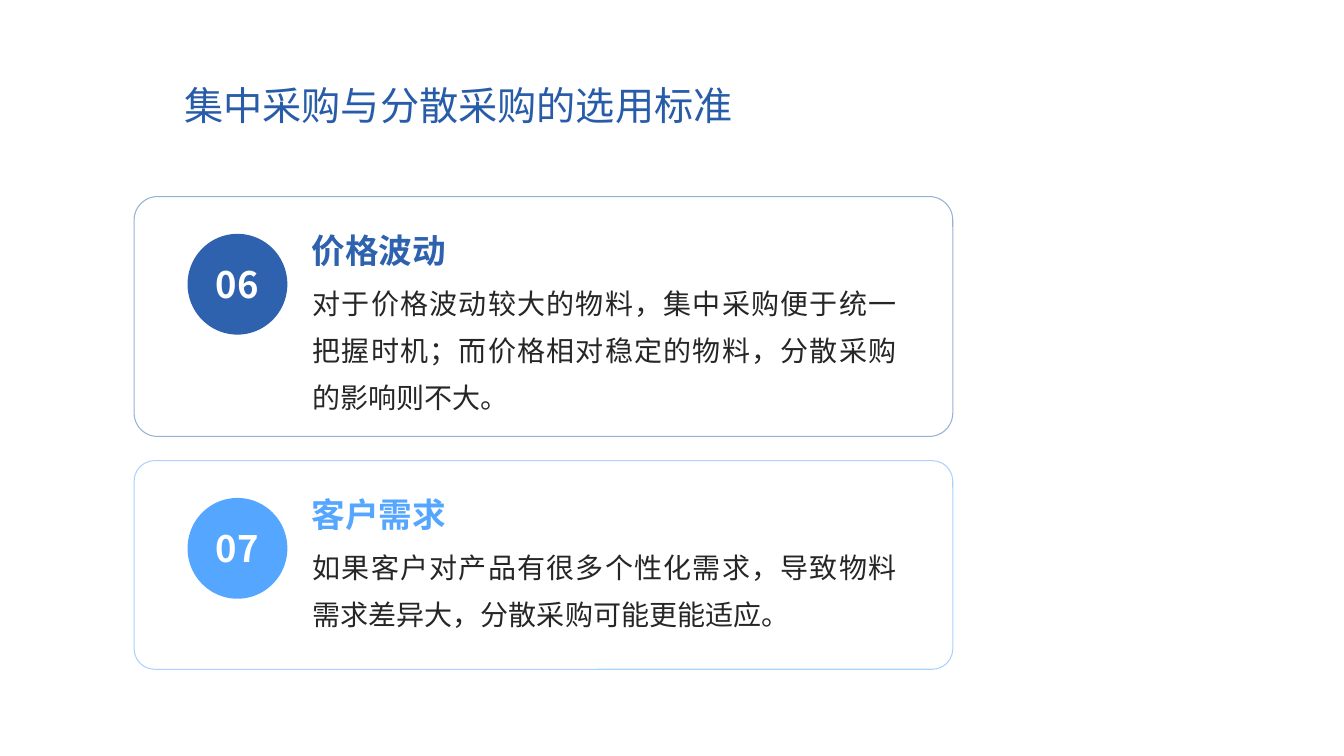
"""Build a slide on choosing between central and local purchasing."""
from lxml import etree
from pptx import Presentation
from pptx.dml.color import RGBColor
from pptx.enum.shapes import MSO_SHAPE
from pptx.enum.text import MSO_ANCHOR, PP_ALIGN
from pptx.oxml.ns import qn
from pptx.util import Inches, Pt

ROUND, OVAL = MSO_SHAPE.ROUNDED_RECTANGLE, MSO_SHAPE.OVAL
TOP, MIDDLE, BOTTOM = MSO_ANCHOR.TOP, MSO_ANCHOR.MIDDLE, MSO_ANCHOR.BOTTOM
LEFT, CENTER, JUSTIFY = PP_ALIGN.LEFT, PP_ALIGN.CENTER, PP_ALIGN.JUSTIFY
SANS, BODY = "Noto Sans CJK SC", "Noto Sans CJK JP"
COLORS = {"title": "285CA9", "navy": "2F62AE", "sky": "54A6FF",
          "text": "262626", "white": "FFFFFF"}

deck = Presentation()
deck.slide_width, deck.slide_height = Inches(13.33), Inches(7.5)
slide = deck.slides.add_slide(deck.slide_layouts[6])


def add_shape(kind, x, y, w, h, fill):
    shape = slide.shapes.add_shape(kind, Inches(x), Inches(y), Inches(w), Inches(h))
    shape.shadow.inherit = False
    shape.fill.solid()
    shape.fill.fore_color.rgb = RGBColor.from_string(COLORS[fill])
    shape.line.fill.background()
    return shape


def set_text(shape, text, size, font, color, bold=False, anchor=TOP, align=LEFT, inset=True):
    frame = shape.text_frame
    frame.text = text
    frame.word_wrap = True
    frame.vertical_anchor = anchor
    if not inset:
        frame.margin_left = frame.margin_right = 0
        frame.margin_top = frame.margin_bottom = 0
    para = frame.paragraphs[0]
    para.alignment = align
    run = para.runs[0]
    run.font.size, run.font.bold, run.font.name = Pt(size), bold, font
    run.font.color.rgb = RGBColor.from_string(COLORS[color])
    east = etree.SubElement(run.font._element, qn("a:ea"))
    east.set("typeface", font)
    return frame


title = slide.shapes.add_textbox(Inches(1.73), Inches(0.72), Inches(6.78), Inches(0.64))
set_text(title, "集中采购与分散采购的选用标准", 28, SANS, "title", anchor=MIDDLE)

cards = [
    ("06", "价格波动", "对于价格波动较大的物料，集中采购便于统一把握时机；"
     "而价格相对稳定的物料，分散采购的影响则不大。", "navy", 1.95, 2.38),
    ("07", "客户需求", "如果客户对产品有很多个性化需求，导致物料需求差异大，"
     "分散采购可能更能适应。", "sky", 4.57, 2.07),
]
for num, head, body, color, top, height in cards:
    card = add_shape(ROUND, 1.33, top, 8.12, height, "white")
    card.adjustments[0] = 0.098
    card.line.width = Pt(0.75)
    card.line.color.rgb = RGBColor.from_string(COLORS[color])
    tint = card.line._ln.find(".//" + qn("a:srgbClr"))
    etree.SubElement(tint, qn("a:alpha")).set("val", "50000")

    disc = add_shape(OVAL, 1.86, top + 0.37, 0.99, 1, color)
    frame = set_text(disc, num, 26, SANS, "white", True, MIDDLE, CENTER)
    frame.word_wrap = False

    label = slide.shapes.add_textbox(Inches(3.09), Inches(top + 0.2), Inches(5.36), Inches(0.53))
    set_text(label, head, 24, BODY, color, True, BOTTOM, inset=False)

    note = slide.shapes.add_textbox(Inches(3.1), Inches(top + 0.76), Inches(5.79), Inches(1.33))
    frame = set_text(note, body, 20, BODY, "text", align=JUSTIFY, inset=False)
    frame.paragraphs[0].line_spacing = 1.4

deck.save("out.pptx")
